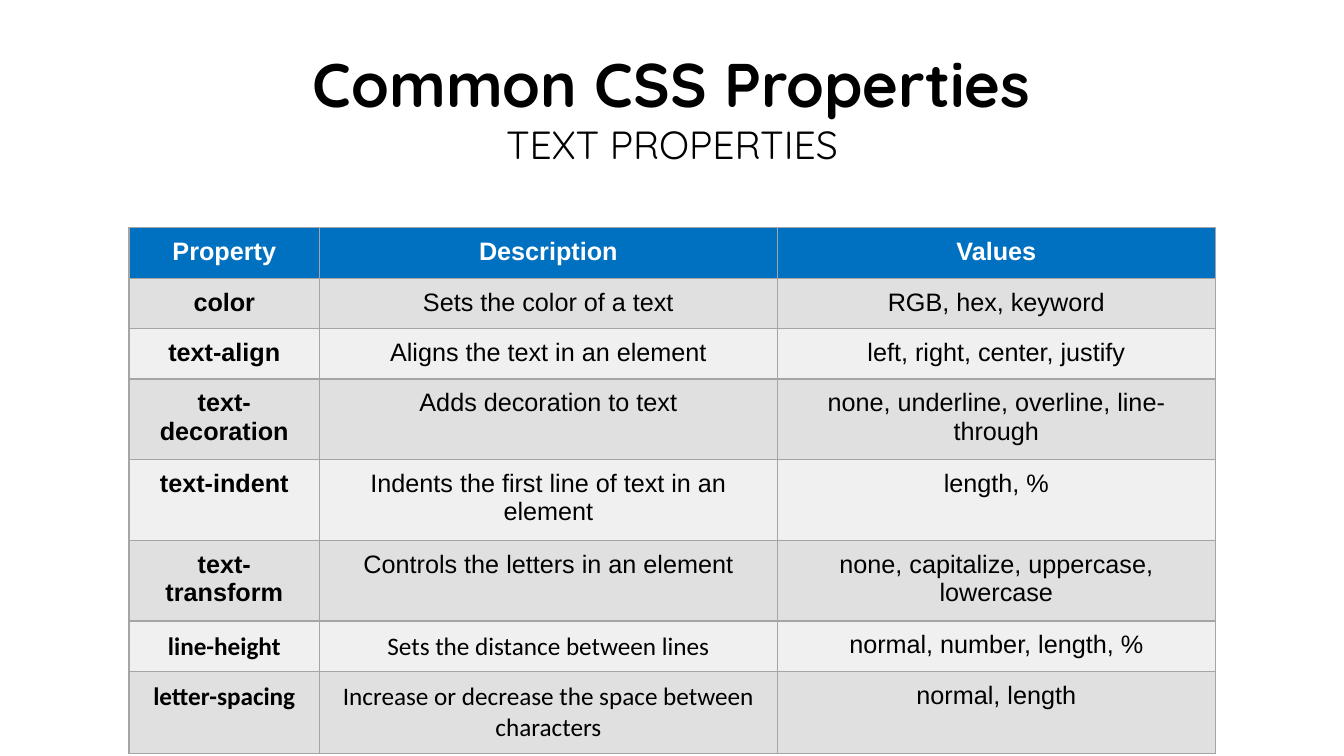
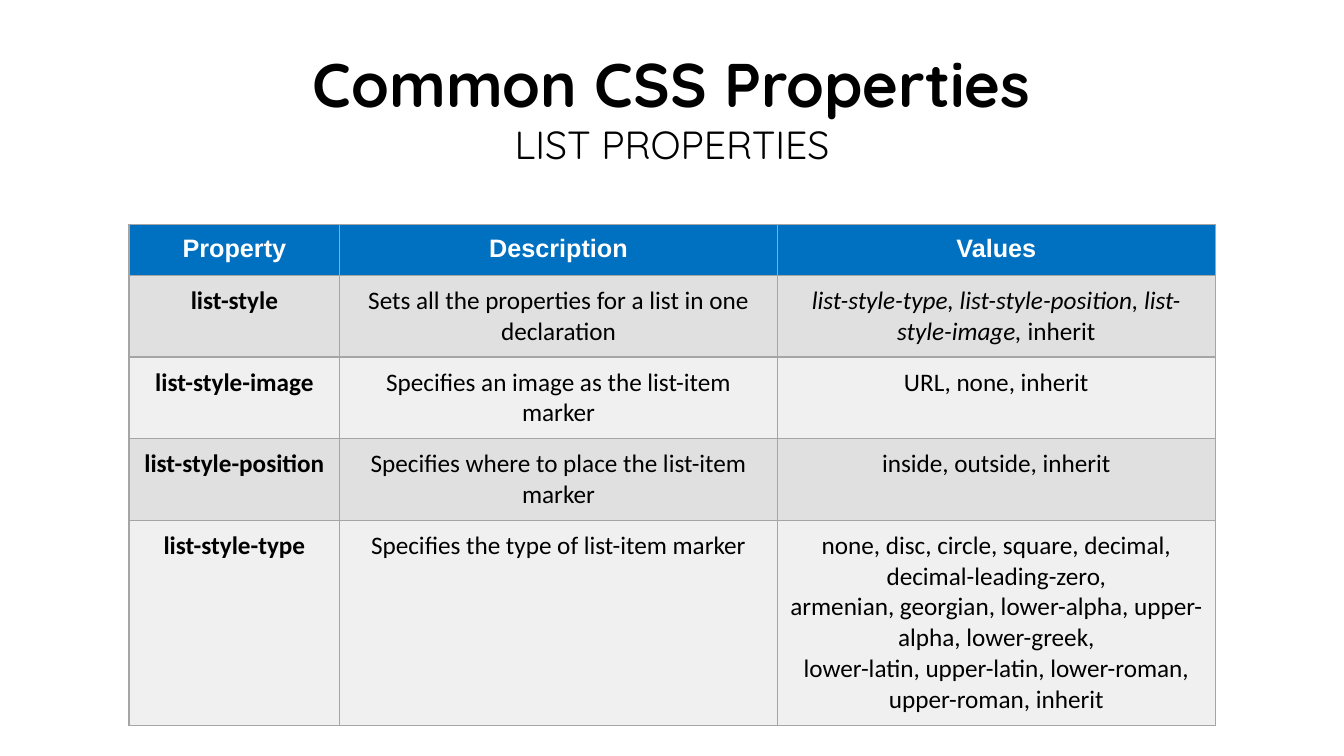
from lxml.etree import SubElement
from pptx import Presentation
from pptx.dml.color import RGBColor
from pptx.enum.text import MSO_ANCHOR, PP_ALIGN
from pptx.oxml.ns import qn
from pptx.util import Pt

BLACK = RGBColor(0x00, 0x00, 0x00)
WHITE = RGBColor(0xFF, 0xFF, 0xFF)
HEADER_BLUE = RGBColor(0x00, 0x70, 0xC0)
BAND_COLORS = (RGBColor(0xE0, 0xE0, 0xE0), RGBColor(0xF0, 0xF0, 0xF0))
BORDER_GRAY = RGBColor(0xA5, 0xA5, 0xA5)

TITLE_FONT = "Quicksand"
ARIAL = "Arial"
CALIBRI = "Calibri"

TITLE_BOX = (191, 29.5, 578, 94.5)  # left, top, width, height
TABLE_LEFT = 92.2
CELL_INSET = 7.2
ROW_HEIGHT = 36
TALL_ROW = 57.6
HEADERS = ("Property", "Description", "Values")

# Each row: height, fonts of the three cells, then the cell texts
ALL_ARIAL = (ARIAL, ARIAL, ARIAL)
ALL_CALIBRI = (CALIBRI, CALIBRI, CALIBRI)
MIXED = (CALIBRI, CALIBRI, ARIAL)

TEXT_ROWS = [
    (ROW_HEIGHT, ALL_ARIAL, "color", "Sets the color of a text", "RGB, hex, keyword"),
    (ROW_HEIGHT, ALL_ARIAL, "text-align", "Aligns the text in an element",
     "left, right, center, justify"),
    (TALL_ROW, ALL_ARIAL, "text-decoration", "Adds decoration to text",
     "none, underline, overline, line-through"),
    (TALL_ROW, ALL_ARIAL, "text-indent",
     "Indents the first line of text in an element", "length, %"),
    (TALL_ROW, ALL_ARIAL, "text-transform", "Controls the letters in an element",
     "none, capitalize, uppercase, lowercase"),
    (ROW_HEIGHT, MIXED, "line-height", "Sets the distance between lines",
     "normal, number, length, %"),
    (TALL_ROW, MIXED, "letter-spacing",
     "Increase or decrease the space between characters", "normal, length"),
]

LIST_ROWS = [
    (TALL_ROW, ALL_CALIBRI, "list-style",
     "Sets all the properties for a list in one declaration",
     (("list-style-type, list-style-position, list-style-image, ", True),
      ("inherit", False))),
    (TALL_ROW, ALL_CALIBRI, "list-style-image",
     "Specifies an image as the list-item marker", "URL, none, inherit"),
    (TALL_ROW, ALL_CALIBRI, "list-style-position",
     "Specifies where to place the list-item marker", "inside, outside, inherit"),
    (144, ALL_CALIBRI, "list-style-type", "Specifies the type of list-item marker",
     "none, disc, circle, square, decimal, decimal-leading-zero,\n"
     "armenian, georgian, lower-alpha, upper-alpha, lower-greek,\n"
     "lower-latin, upper-latin, lower-roman, upper-roman, inherit"),
]


def write_text(paragraph, text, font=ARIAL, size=18, color=BLACK, bold=False, italic=False):
    """Add centred text to a paragraph; a newline becomes a line break."""
    paragraph.alignment = PP_ALIGN.CENTER
    for index, line in enumerate(text.split("\n")):
        if index:
            paragraph.add_line_break()
        run = paragraph.add_run()
        run.text = line
        run.font.name = font
        run.font.size = Pt(size)
        run.font.color.rgb = color
        run.font.bold = bold
        run.font.italic = italic


def set_borders(cell):
    """Draw a thin line on all four sides; lines come before the fill."""
    properties = cell._tc.get_or_add_tcPr()
    for index, side in enumerate(("a:lnL", "a:lnR", "a:lnT", "a:lnB")):
        line = SubElement(properties, qn(side), w=str(Pt(1)))
        fill = SubElement(line, qn("a:solidFill"))
        SubElement(fill, qn("a:srgbClr"), val=str(BORDER_GRAY))
        properties.insert(index, line)


def format_cell(cell, fill_color):
    cell.margin_left = cell.margin_right = Pt(CELL_INSET)
    cell.margin_top = cell.margin_bottom = Pt(CELL_INSET)
    cell.vertical_anchor = MSO_ANCHOR.TOP
    cell.fill.solid()
    cell.fill.fore_color.rgb = fill_color
    set_borders(cell)


def place_title(slide, box, subtitle):
    title = slide.shapes.title
    title.left, title.top, title.width, title.height = map(Pt, box)
    frame = title.text_frame
    frame.word_wrap = True
    frame.vertical_anchor = MSO_ANCHOR.TOP
    write_text(frame.paragraphs[0], "Common CSS Properties",
               font=TITLE_FONT, size=44, bold=True)
    write_text(frame.add_paragraph(), subtitle, font=TITLE_FONT, size=28)


def place_table(slide, left, top, column_widths, rows):
    heights = [ROW_HEIGHT] + [row[0] for row in rows]
    table = slide.shapes.add_table(
        len(heights), len(column_widths), Pt(left), Pt(top),
        Pt(sum(column_widths)), Pt(sum(heights))).table
    table.horz_banding = False
    for column, width in zip(table.columns, column_widths):
        column.width = Pt(width)
    for table_row, height in zip(table.rows, heights):
        table_row.height = Pt(height)

    # Header row
    for cell, header in zip(table.rows[0].cells, HEADERS):
        format_cell(cell, HEADER_BLUE)
        write_text(cell.text_frame.paragraphs[0], header, color=WHITE, bold=True)

    # Body rows in alternating grays, property names in bold
    for row_index, (_, fonts, *texts) in enumerate(rows):
        cells = table.rows[row_index + 1].cells
        for column_index, (cell, font, text) in enumerate(zip(cells, fonts, texts)):
            format_cell(cell, BAND_COLORS[row_index % 2])
            pieces = ((text, False),) if isinstance(text, str) else text
            for piece, italic in pieces:
                write_text(cell.text_frame.paragraphs[0], piece, font=font,
                           bold=column_index == 0, italic=italic)


def add_property_slide(presentation, subtitle, table_top, column_widths, rows):
    slide = presentation.slides.add_slide(presentation.slide_layouts[5])
    place_title(slide, TITLE_BOX, subtitle)
    place_table(slide, TABLE_LEFT, table_top, column_widths, rows)


def main():
    presentation = Presentation()
    presentation.slide_width = Pt(960)
    presentation.slide_height = Pt(540)
    add_property_slide(presentation, "TEXT PROPERTIES", 162.7, (136, 327, 313), TEXT_ROWS)
    add_property_slide(presentation, "LIST PROPERTIES", 160.6, (150.5, 312.5, 313), LIST_ROWS)
    presentation.save("out.pptx")


if __name__ == "__main__":
    main()
